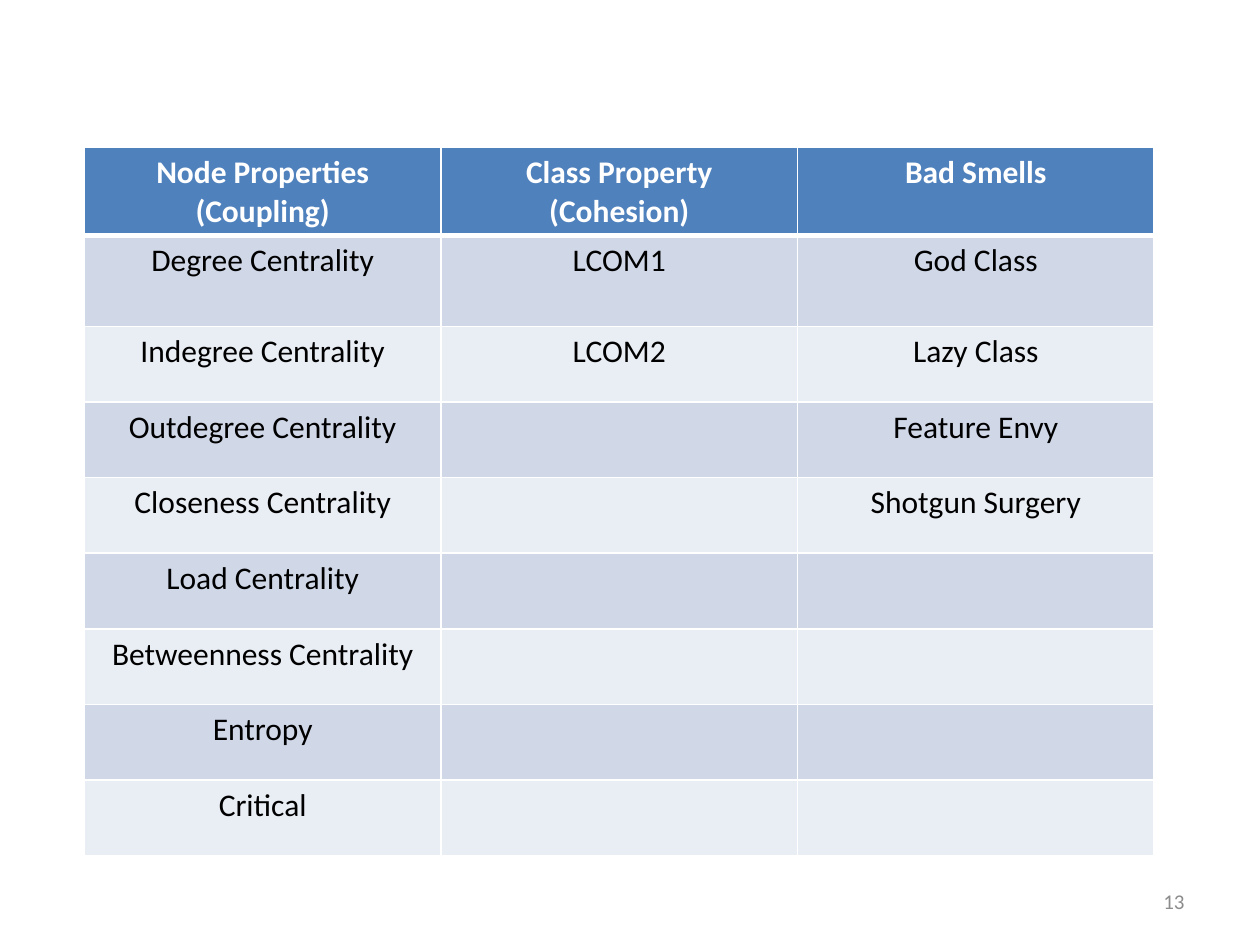
from typing import NamedTuple

from lxml.etree import SubElement
from pptx import Presentation
from pptx.dml.color import RGBColor
from pptx.enum.text import MSO_ANCHOR as Anchor, PP_ALIGN as Align
from pptx.oxml.ns import qn
from pptx.util import Inches, Pt

COLORS = {
    "header": "4F81BD",
    "band_dark": "D0D8E8",
    "band_light": "E9EDF4",
    "white": "FFFFFF",
    "black": "000000",
    "gray": "8C8C8C",
}
FONT = "Calibri"


class MetricRow(NamedTuple):
    """One table row: coupling, cohesion and bad smell."""
    coupling: str
    cohesion: str = ""
    smell: str = ""


ROWS = [
    MetricRow("Node Properties\v(Coupling)", "Class Property\v(Cohesion)", "Bad Smells"),
    MetricRow("Degree Centrality", "LCOM1", "God Class"),
    MetricRow("Indegree Centrality", "LCOM2", "Lazy Class"),
    MetricRow("Outdegree Centrality", smell="Feature Envy"),
    MetricRow("Closeness Centrality", smell="Shotgun Surgery"),
    MetricRow("Load Centrality"),
    MetricRow("Betweenness Centrality"),
    MetricRow("Entropy"),
    MetricRow("Critical"),
]
ROW_HEIGHTS = [0.7, 0.72] + [0.6] * (len(ROWS) - 2)
COLUMN_WIDTH = 2.83


def format_paragraph(paragraph, size: float, color: str, align, bold: bool = False) -> None:
    """Set the font and alignment of a paragraph."""
    paragraph.alignment = align
    font = paragraph.font
    font.name, font.size, font.bold = FONT, Pt(size), bold
    font.color.rgb = RGBColor.from_string(COLORS[color])


def set_borders(cell, top: float, bottom: float) -> None:
    """Draw white borders around a cell, one point wide at the sides."""
    properties = cell._tc.get_or_add_tcPr()
    for side, width in (("L", 1), ("R", 1), ("T", top), ("B", bottom)):
        line = SubElement(properties, qn(f"a:ln{side}"), w=str(Pt(width)))
        fill = SubElement(line, qn("a:solidFill"))
        SubElement(fill, qn("a:srgbClr"), val=COLORS["white"])


def fill_cell(cell, text: str, row_index: int) -> None:
    """Write and format a cell according to its row."""
    is_header = row_index == 0
    set_borders(cell, top=3 if row_index == 1 else 1, bottom=3 if is_header else 1)
    band = "band_dark" if row_index % 2 else "band_light"
    cell.fill.solid()
    cell.fill.fore_color.rgb = RGBColor.from_string(COLORS["header" if is_header else band])
    cell.text = text
    format_paragraph(cell.text_frame.paragraphs[0], 18,
                     "white" if is_header else "black", Align.CENTER, is_header)


def add_metrics_table(slide) -> None:
    """Add the table of metrics and bad smells."""
    column_count = len(MetricRow._fields)
    table = slide.shapes.add_table(
        len(ROWS), column_count, Inches(0.67), Inches(1.17),
        Inches(COLUMN_WIDTH * column_count), Inches(sum(ROW_HEIGHTS))).table
    for column in table.columns:
        column.width = Inches(COLUMN_WIDTH)
    for row_index, (row, height) in enumerate(zip(ROWS, ROW_HEIGHTS)):
        table.rows[row_index].height = Inches(height)
        for column_index, text in enumerate(row):
            fill_cell(table.cell(row_index, column_index), text, row_index)


def add_page_number(slide, number: str) -> None:
    """Add the page number at the bottom right."""
    frame = slide.shapes.add_textbox(
        Inches(7.17), Inches(6.95), Inches(2.33), Inches(0.4)).text_frame
    frame.word_wrap = True
    frame.vertical_anchor = Anchor.MIDDLE
    frame.text = number
    format_paragraph(frame.paragraphs[0], 12, "gray", Align.RIGHT)


presentation = Presentation()
presentation.slide_width, presentation.slide_height = Inches(10), Inches(7.5)
blank_layout = presentation.slide_layouts.get_by_name("Blank")
slide = presentation.slides.add_slide(blank_layout)
add_page_number(slide, "13")
add_metrics_table(slide)
presentation.save("out.pptx")
